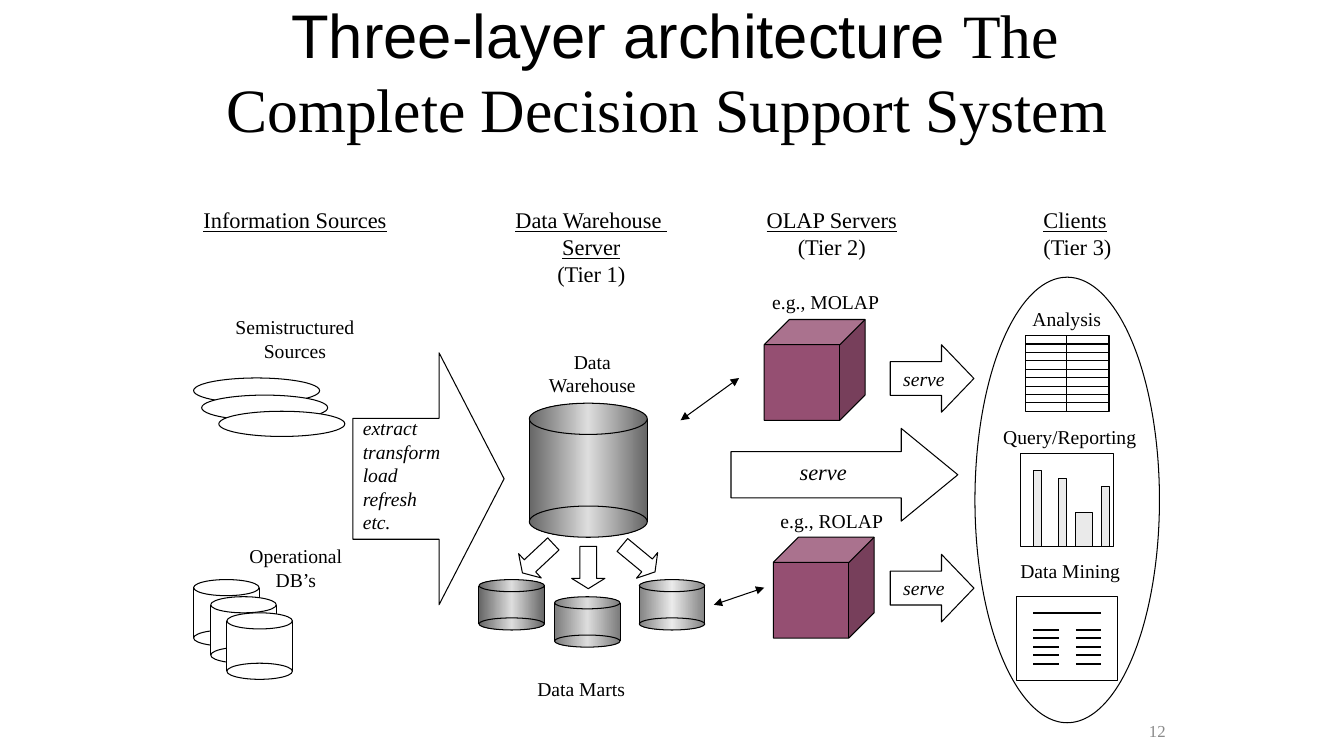
"""Build the slide on the three-layer data warehouse architecture."""
from copy import deepcopy
from dataclasses import dataclass

from lxml.etree import SubElement
from pptx import Presentation
from pptx.dml.color import RGBColor
from pptx.enum.shapes import MSO_CONNECTOR, MSO_SHAPE as Preset
from pptx.enum.text import MSO_ANCHOR, MSO_AUTO_SIZE, PP_ALIGN as Align
from pptx.oxml.ns import qn
from pptx.util import Inches, Pt


@dataclass(frozen=True)
class Theme:
    serif: str = "Times New Roman"
    sans: str = "Arial"
    black: str = "000000"
    white: str = "FFFFFF"
    plum: str = "954F72"
    bar: str = "EAEAEA"
    grey: str = "898989"
    steel: tuple = ("666666", "DDDDDD", "666666")
    silver: tuple = ("7C7C7C", "DDDDDD", "7C7C7C")
    pale: tuple = ("838383", "EAEAEA", "838383")
    title: int = 44
    heading: int = 16
    label: int = 14
    number: int = 12


theme = Theme()


def draw_shape(container, preset, box, fill=None, outline=theme.black, width=0.75, adjustments=(), rotation=0):
    shape = container.add_shape(preset, *map(Inches, box))
    shape.shadow.inherit = False
    shape.rotation = rotation
    shape.line.color.rgb = RGBColor.from_string(outline)
    shape.line.width = Pt(width)
    for index, value in enumerate(adjustments):
        shape.adjustments[index] = value
    if fill is None:
        shape.fill.background()
    elif isinstance(fill, str):
        shape.fill.solid()
        shape.fill.fore_color.rgb = RGBColor.from_string(fill)
    else:
        shape.fill.gradient()
        shape.fill.gradient_angle = 0
        stops = shape._element.spPr.find(qn("a:gradFill")).find(qn("a:gsLst"))
        middle = deepcopy(stops[0])
        middle.set("pos", "50000")
        stops.insert(1, middle)
        for stop, color in zip(shape.fill.gradient_stops, fill):
            stop.color.rgb = RGBColor.from_string(color)
    return shape


def draw_line(container, start, end, width=0.75, arrows=False):
    line = container.add_connector(MSO_CONNECTOR.STRAIGHT, *map(Inches, (*start, *end)))
    line.line.color.rgb = RGBColor.from_string(theme.black)
    line.line.width = Pt(width)
    if arrows:
        for tag in ("a:headEnd", "a:tailEnd"):
            SubElement(line.line._get_or_add_ln(), qn(tag), type="triangle")
    SubElement(line._element.spPr, qn("a:effectLst"))


presentation = Presentation()
presentation.slide_width = Inches(13.33)
presentation.slide_height = Inches(7.5)
slide = presentation.slides.add_slide(presentation.slide_layouts[5])
shapes = slide.shapes

title = shapes.title
title.left, title.top, title.width, title.height = map(Inches, (1.83, 0.08, 9.58, 1.25))
title.text_frame.auto_size = MSO_AUTO_SIZE.NONE
title.text_frame.vertical_anchor = MSO_ANCHOR.MIDDLE
paragraph = title.text_frame.paragraphs[0]
paragraph.alignment = Align.CENTER
paragraph.font.size = Pt(theme.title)
paragraph.font.color.rgb = RGBColor.from_string(theme.black)
for text, font_name in (
    (" ", theme.serif),
    ("Three-layer architecture ", theme.sans),
    ("The Complete Decision Support System", theme.serif),
):
    run = paragraph.add_run()
    run.text = text
    run.font.name = font_name

for left, top in ((1.92, 3.75), (2, 3.92), (2.17, 4.08)):
    draw_shape(shapes, Preset.OVAL, (left, top, 1.25, 0.25), theme.white)

for left, top, width, height, cap, fill in (
    (1.92, 5.75, 0.65, 0.66, 0.16, theme.white),
    (2.09, 5.92, 0.65, 0.66, 0.16, theme.white),
    (2.25, 6.08, 0.65, 0.66, 0.16, theme.white),
    (5.25, 4, 1.17, 1.33, 0.31, theme.steel),
    (4.75, 5.75, 0.65, 0.5, 0.12, theme.steel),
    (5.5, 5.92, 0.65, 0.5, 0.12, theme.silver),
    (6.34, 5.75, 0.65, 0.5, 0.12, theme.pale),
):
    cylinder = shapes.add_group_shape().shapes
    upper, lower = top + cap / 2, top + height - cap / 2
    draw_shape(cylinder, Preset.RECTANGLE, (left, upper, width, lower - upper), fill, theme.white)
    for side in (left, left + width):
        draw_line(cylinder, (side, upper), (side, lower))
    for cap_top in (top, top + height - cap):
        draw_shape(cylinder, Preset.OVAL, (left, cap_top, width, cap), fill)

for left, top, rotation in ((5.17, 5.33, 46.9), (5.67, 5.42, 0), (6.17, 5.33, 309.6)):
    draw_shape(shapes, Preset.DOWN_ARROW, (left, top, 0.33, 0.42), adjustments=(0.5, 0.31), rotation=rotation)

for left, top in ((7.67, 5.33), (7.58, 3.17)):
    draw_shape(shapes, Preset.CUBE, (left, top, 1, 1), theme.plum, adjustments=(0.25,))

draw_shape(shapes, Preset.OVAL, (9.67, 2.75, 1.83, 4.42))
draw_shape(shapes, Preset.RIGHT_ARROW, (3.5, 3.5, 1.5, 2.5), adjustments=(0.48, 0.43))
draw_shape(shapes, Preset.RIGHT_ARROW, (7.25, 4.25, 2.25, 0.92), adjustments=(0.5, 0.61))
for top in (3.42, 5.5):
    arrow = draw_shape(shapes, Preset.RIGHT_ARROW, (8.83, top, 0.83, 0.67), adjustments=(0.5, 0.48))
    arrow.text_frame.word_wrap = False
    arrow.text_frame.vertical_anchor = MSO_ANCHOR.MIDDLE
    paragraph = arrow.text_frame.paragraphs[0]
    paragraph.text = "serve"
    paragraph.alignment = Align.CENTER
    paragraph.font.name = theme.serif
    paragraph.font.size = Pt(theme.label)
    paragraph.font.italic = True
    paragraph.font.color.rgb = RGBColor.from_string(theme.black)

draw_line(shapes, (6.75, 4.17), (7.33, 3.75), arrows=True)
draw_line(shapes, (7.08, 6), (7.58, 5.83), arrows=True)

analysis = shapes.add_group_shape().shapes
draw_shape(analysis, Preset.RECTANGLE, (10.17, 3.33, 0.83, 0.75), width=1)
draw_line(analysis, (10.58, 3.33), (10.58, 4.08))
for row in range(1, 9):
    y = 3.33 + row * 0.75 / 9
    draw_line(analysis, (10.17, y), (11, y), 1 if row == 1 else 0.75)

report = shapes.add_group_shape().shapes
draw_shape(report, Preset.RECTANGLE, (10.12, 4.5, 0.92, 0.92))
for left, top, width in ((10.25, 4.67, 0.08), (10.5, 4.75, 0.08), (10.67, 5.08, 0.17), (10.92, 4.83, 0.08)):
    draw_shape(report, Preset.RECTANGLE, (left, top, width, 5.42 - top), theme.bar)

mining = shapes.add_group_shape().shapes
draw_shape(mining, Preset.RECTANGLE, (10.08, 5.92, 1, 0.83))
draw_line(mining, (10.25, 6.08), (10.92, 6.08), 1.5)
for row in range(5):
    y = 6.25 + row / 12
    for left in (10.25, 10.67):
        draw_line(mining, (left, y), (left + 0.25, y), 1.5)

for box, size, alignment, italic, underlined, lines in (
    ((1.92, 2, 2.03, 0.37), theme.heading, Align.LEFT, False, 1, ["Information Sources"]),
    ((5, 2, 1.73, 0.9), theme.heading, Align.CENTER, False, 2, ["Data Warehouse ", "Server", "(Tier 1)"]),
    ((7.5, 2, 1.5, 0.64), theme.heading, Align.CENTER, False, 1, ["OLAP Servers", "(Tier 2)"]),
    ((10.25, 2, 0.89, 0.64), theme.heading, Align.LEFT, False, 1, ["Clients", "(Tier 3)"]),
    ((2.23, 3.08, 1.39, 0.57), theme.label, Align.CENTER, False, 0, ["Semistructured", "Sources"]),
    ((2.37, 5.35, 1.13, 0.57), theme.label, Align.CENTER, False, 0, ["Operational", "DB’s"]),
    ((3.5, 4.08, 0.98, 1.28), theme.label, Align.LEFT, True, 0, ["extract", "transform", "load", "refresh", "etc."]),
    ((5.34, 3.42, 1.07, 0.57), theme.label, Align.CENTER, False, 0, ["Data", "Warehouse"]),
    ((5.23, 6.67, 1.07, 0.33), theme.label, Align.CENTER, False, 0, ["Data Marts"]),
    ((7.56, 2.83, 1.26, 0.33), theme.label, Align.CENTER, False, 0, ["e.g., MOLAP"]),
    ((7.64, 5, 1.22, 0.33), theme.label, Align.CENTER, False, 0, ["e.g., ROLAP"]),
    ((7.83, 4.5, 0.67, 0.37), theme.heading, Align.CENTER, True, 0, ["serve"]),
    ((10.14, 3, 0.88, 0.33), theme.label, Align.CENTER, False, 0, ["Analysis"]),
    ((9.85, 4.17, 1.52, 0.33), theme.label, Align.CENTER, False, 0, ["Query/Reporting"]),
    ((10.02, 5.5, 1.19, 0.33), theme.label, Align.CENTER, False, 0, ["Data Mining"]),
    ((9.58, 7, 2.08, 0.5), theme.number, Align.RIGHT, False, 0, ["12"]),
):
    is_number = size == theme.number
    frame = shapes.add_textbox(*map(Inches, box)).text_frame
    frame.word_wrap = is_number
    frame.auto_size = MSO_AUTO_SIZE.NONE if is_number else MSO_AUTO_SIZE.SHAPE_TO_FIT_TEXT
    frame.vertical_anchor = MSO_ANCHOR.MIDDLE if is_number else MSO_ANCHOR.TOP
    frame.text = "\n".join(lines)
    for index, paragraph in enumerate(frame.paragraphs):
        paragraph.alignment = alignment
        paragraph.font.name = theme.serif
        paragraph.font.size = Pt(size)
        paragraph.font.italic = italic
        paragraph.font.underline = index < underlined
        paragraph.font.color.rgb = RGBColor.from_string(theme.grey if is_number else theme.black)

presentation.save("out.pptx")
